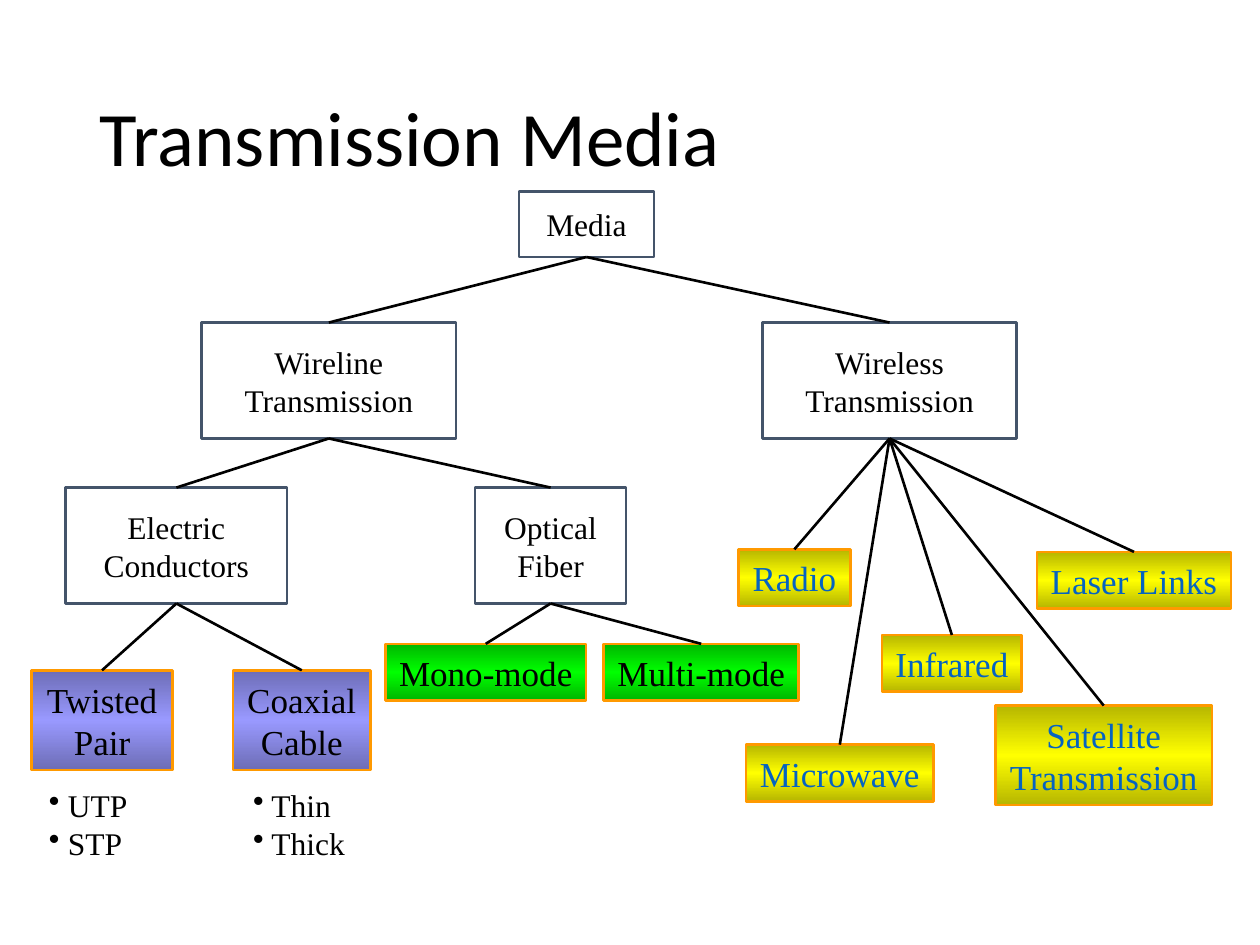
import copy

import lxml.etree
import pptx
import pptx.dml.color
import pptx.enum.shapes
import pptx.enum.text
import pptx.oxml.ns
import pptx.util

Inches = pptx.util.Inches
Pt = pptx.util.Pt
RGBColor = pptx.dml.color.RGBColor
MSO_ANCHOR = pptx.enum.text.MSO_ANCHOR
PP_ALIGN = pptx.enum.text.PP_ALIGN
qn = pptx.oxml.ns.qn

BLACK = RGBColor(0x00, 0x00, 0x00)
SLATE = RGBColor(0x44, 0x54, 0x6A)
ORANGE = RGBColor(0xFF, 0x99, 0x00)
LINK_BLUE = RGBColor(0x05, 0x63, 0xC1)
VIOLET = (RGBColor(0x6D, 0x6D, 0xB6), RGBColor(0x99, 0x99, 0xFF))
GREEN = (RGBColor(0x00, 0xB6, 0x00), RGBColor(0x00, 0xFF, 0x00))
YELLOW = (RGBColor(0xB6, 0xB6, 0x00), RGBColor(0xFF, 0xFF, 0x00))

# Style: gradient (edge, middle) or None, outline, text colour, text size
STYLES = {
    "branch": (None, SLATE, BLACK, 18),
    "conductor": (VIOLET, ORANGE, BLACK, 20),
    "fiber": (GREEN, ORANGE, BLACK, 20),
    "wireless": (YELLOW, ORANGE, LINK_BLUE, 20),
}

# Text, parent, style, left, top, width, height
NODES = [
    ("Media", None, "branch", 4.12, 1.52, 1.07, 0.52),
    ("Wireline\nTransmission", "Media", "branch", 1.6, 2.56, 2.02, 0.92),
    ("Wireless\nTransmission", "Media", "branch", 6.05, 2.56, 2.02, 0.92),
    ("Electric\nConductors", "Wireline\nTransmission", "branch", 0.52, 3.87, 1.76, 0.92),
    ("Optical\nFiber", "Wireline\nTransmission", "branch", 3.77, 3.87, 1.2, 0.92),
    ("Twisted\nPair", "Electric\nConductors", "conductor", 0.25, 5.32, 1.12, 0.79),
    ("Coaxial\nCable", "Electric\nConductors", "conductor", 1.85, 5.32, 1.09, 0.79),
    ("Mono-mode", "Optical\nFiber", "fiber", 3.06, 5.11, 1.59, 0.45),
    ("Multi-mode", "Optical\nFiber", "fiber", 4.79, 5.11, 1.55, 0.45),
    ("Radio", "Wireless\nTransmission", "wireless", 5.86, 4.36, 0.89, 0.45),
    ("Microwave", "Wireless\nTransmission", "wireless", 5.92, 5.91, 1.49, 0.45),
    ("Satellite\nTransmission", "Wireless\nTransmission", "wireless", 7.9, 5.6, 1.72, 0.79),
    ("Infrared", "Wireless\nTransmission", "wireless", 7, 5.04, 1.11, 0.45),
    ("Laser Links", "Wireless\nTransmission", "wireless", 8.23, 4.38, 1.54, 0.45),
]

# Text, left, width
EXAMPLES = [
    (" Thin\n Thick", 1.91, 1.18),
    (" UTP\n STP", 0.29, 1.03),
]


def write_text(shape, text, size, color, alignment, anchor):
    """Fill a shape with unwrapped text, one paragraph a line."""
    frame = shape.text_frame
    frame.text = text
    frame_format = {
        "word_wrap": False,
        "auto_size": pptx.enum.text.MSO_AUTO_SIZE.SHAPE_TO_FIT_TEXT,
        "vertical_anchor": anchor,
    }
    for name, value in frame_format.items():
        setattr(frame, name, value)
    for paragraph in frame.paragraphs:
        paragraph.alignment = alignment
        font = paragraph.runs[0].font
        font.name = "Times New Roman"
        font.size = Pt(size)
        font.color.rgb = color


def fill_with_band(shape, edge, middle):
    """Vertical gradient: edge colour, middle colour, edge colour."""
    fill = shape.fill
    fill.gradient()
    fill.gradient_angle = 90
    stop_list = shape.element.spPr.find(".//" + qn("a:gsLst"))
    stop_list.append(copy.deepcopy(stop_list[0]))
    for stop, position, color in zip(fill.gradient_stops, (0, 0.5, 1), (edge, middle, edge)):
        stop.position = position
        stop.color.rgb = color


presentation = pptx.Presentation()
presentation.slide_width = Inches(10)
presentation.slide_height = Inches(7.5)
slide = presentation.slides.add_slide(presentation.slide_layouts[5])

title = slide.shapes.title
title_place = {"left": 0.69, "top": 0.4, "width": 8.62, "height": 1.45}
for name, value in title_place.items():
    setattr(title, name, Inches(value))
title.text_frame.text = "Transmission Media"
title.text_frame.vertical_anchor = MSO_ANCHOR.MIDDLE
paragraph = title.text_frame.paragraphs[0]
paragraph.alignment = PP_ALIGN.LEFT
paragraph.line_spacing = 0.9
title_font = paragraph.runs[0].font
title_font.name = "Calibri"
title_font.size = Pt(44)
title_font.color.rgb = BLACK

boxes = {}
for text, parent, style, *place in NODES:
    gradient, outline, text_color, size = STYLES[style]
    box = slide.shapes.add_shape(
        pptx.enum.shapes.MSO_SHAPE.RECTANGLE, *[Inches(value) for value in place]
    )
    box.shadow.inherit = False
    if gradient:
        fill_with_band(box, *gradient)
    else:
        box.fill.background()
    box.line.color.rgb = outline
    box.line.width = Pt(1.5)
    write_text(box, text, size, text_color, PP_ALIGN.CENTER, MSO_ANCHOR.MIDDLE)
    boxes[text] = box

BOTTOM_SITE, TOP_SITE = 2, 0
for text, parent, *_ in NODES:
    if parent is None:
        continue
    connector = slide.shapes.add_connector(
        pptx.enum.shapes.MSO_CONNECTOR.STRAIGHT, 0, 0, 0, 0
    )
    connector.begin_connect(boxes[parent], BOTTOM_SITE)
    connector.end_connect(boxes[text], TOP_SITE)
    connector.line.color.rgb = BLACK
    connector.line.width = Pt(1.5)
    lxml.etree.SubElement(connector.element.spPr, qn("a:effectLst"))

for text, left, width in EXAMPLES:
    box = slide.shapes.add_textbox(Inches(left), Inches(6.19), Inches(width), Inches(0.9))
    write_text(box, text, 18, BLACK, PP_ALIGN.LEFT, MSO_ANCHOR.TOP)
    for properties in box.element.iter(qn("a:pPr")):
        lxml.etree.SubElement(properties, qn("a:buChar"), char="•")

presentation.save("out.pptx")
